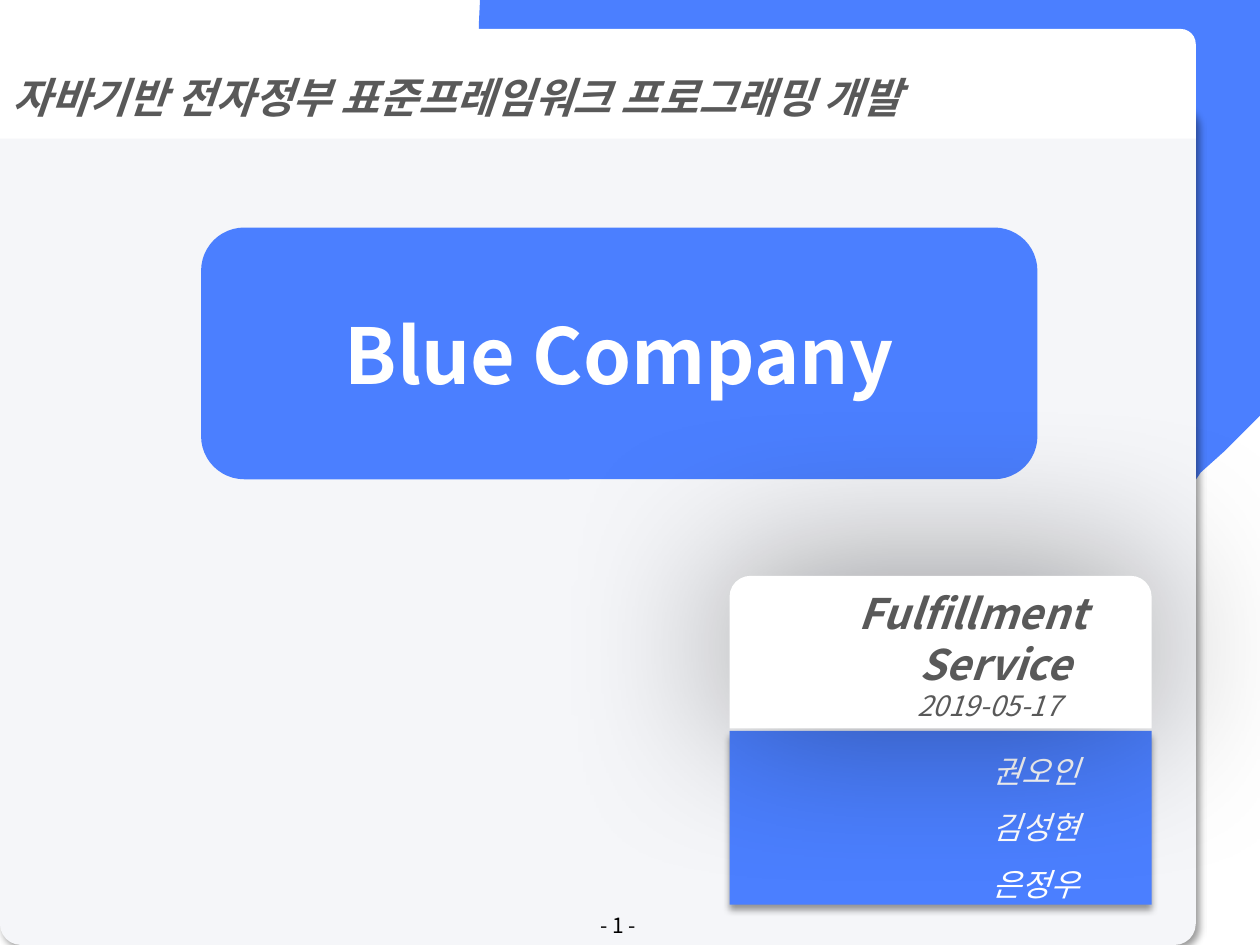
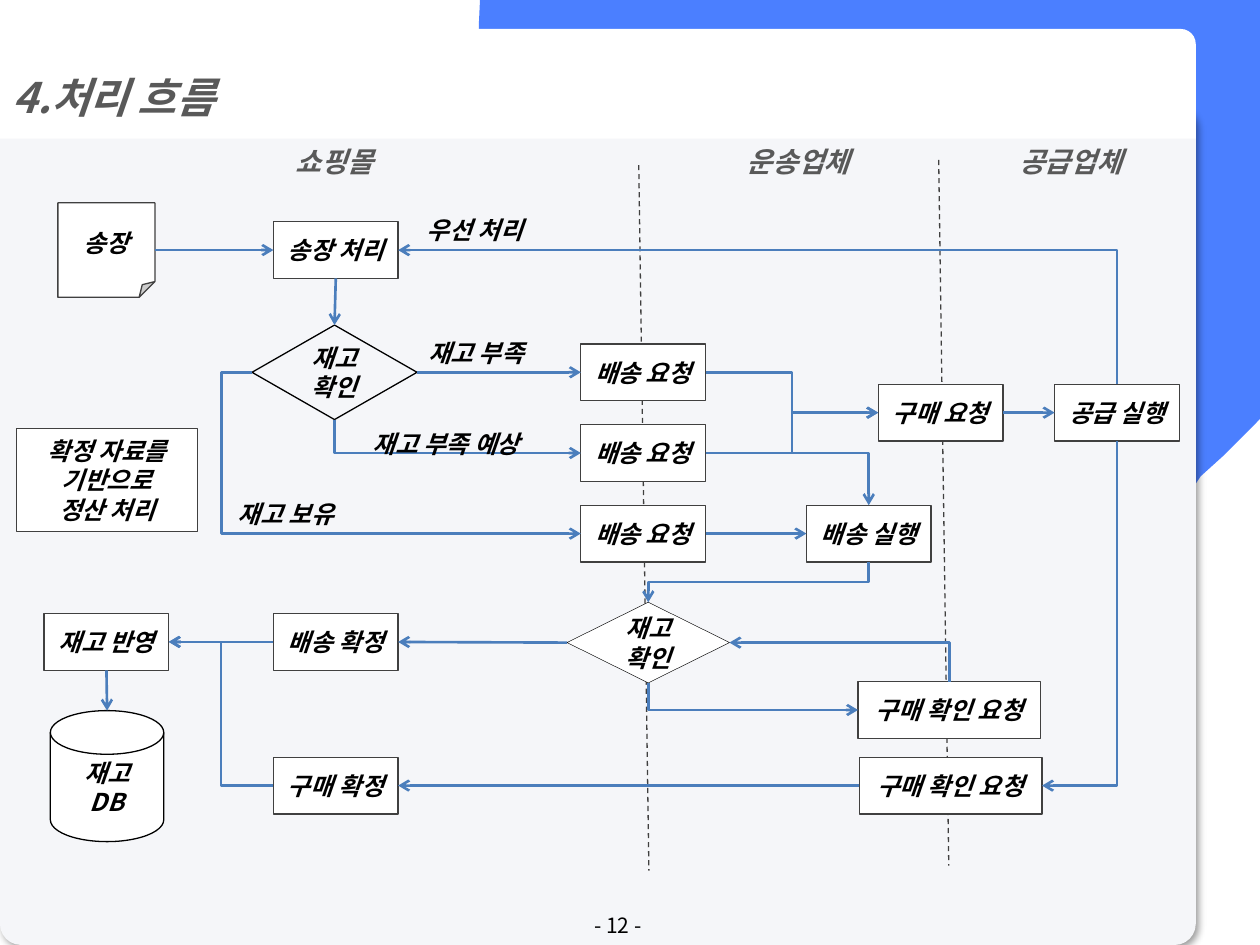
from dataclasses import dataclass
from typing import NamedTuple

from lxml import etree
from pptx import Presentation
from pptx.dml.color import RGBColor
from pptx.enum.dml import MSO_LINE
from pptx.enum.shapes import MSO_CONNECTOR, MSO_SHAPE
from pptx.enum.text import MSO_ANCHOR, MSO_AUTO_SIZE, PP_ALIGN
from pptx.oxml.ns import qn
from pptx.util import Emu, Pt

PX = 9144  # 100 px to the inch
FONT = "Noto Sans CJK KR"
C = {
    "blue": "4B7FFF", "panel": "F5F6F9", "white": "FFFFFF", "black": "000000",
    "heading": "595959", "edge": "404040", "arrow": "4B7EBC",
}
LEFT, CENTER = PP_ALIGN.LEFT, PP_ALIGN.CENTER
MIDDLE = MSO_ANCHOR.MIDDLE
RECT, ROUND = MSO_SHAPE.RECTANGLE, MSO_SHAPE.ROUNDED_RECTANGLE
ROUND_TOP = MSO_SHAPE.ROUND_2_SAME_RECTANGLE
DIAMOND, NOTE = MSO_SHAPE.DIAMOND, MSO_SHAPE.FOLDED_CORNER
DISK = MSO_SHAPE.FLOWCHART_MAGNETIC_DISK
STRAIGHT, ELBOW = MSO_CONNECTOR.STRAIGHT, MSO_CONNECTOR.ELBOW
TOP_SIDE, LEFT_SIDE, BOTTOM_SIDE, RIGHT_SIDE = range(4)

# Backdrop outline: pairs are line ends, sixes are cubic curves.
BACKDROP = [
    (1000, 0), (1000, 330), (972, 358), (953, 375), (949, 381),
    (944, 387, 939, 392, 934, 397), (643, 687),
    (563, 766, 438, 771, 353, 702), (337, 687), (322, 671),
    (253, 586, 258, 462, 337, 383), (488, 233), (454, 199),
    (404, 150, 380, 86, 380, 21), (381, 0),
]


class Box(NamedTuple):
    x: int
    y: int
    w: int
    h: int


class Shadow(NamedTuple):
    blur: int
    angle: int


@dataclass
class Para:
    text: str
    size: int = 14
    color: str = "black"
    bold: bool = True
    italic: bool = True
    align: PP_ALIGN = CENTER
    spacing: float = 1.0
    indent: int = 0


@dataclass
class Node:
    box: Box
    lines: tuple[str, ...]
    kind: MSO_SHAPE = RECT
    edge: str = "edge"
    width: float = 0.75
    inset: int = 4
    filled: bool = True


@dataclass
class Arrow:
    start: str
    start_side: int
    end: str
    end_side: int
    geometry: str = "line"
    bend: int = 50000


@dataclass
class Label:
    box: Box
    para: Para


def rgb(name: str) -> RGBColor:
    return RGBColor.from_string(C[name])


def emu(box: Box) -> list[Emu]:
    return [Emu(v * PX) for v in box]


def write(tf, paras: list[Para]) -> None:
    for i, para in enumerate(paras):
        p = tf.paragraphs[0] if i == 0 else tf.add_paragraph()
        p.text = para.text
        p.alignment, p.line_spacing = para.align, para.spacing
        pPr = p._p.get_or_add_pPr()
        pPr.set("marL", str(para.indent * PX))
        pPr.set("indent", "0")
        f = p.font
        f.name, f.size = FONT, Pt(para.size)
        f.bold, f.italic = para.bold, para.italic
        f.color.rgb = rgb(para.color)
        etree.SubElement(pPr.find(qn("a:defRPr")), qn("a:ea"), typeface=FONT)


def add_box(slide, kind, box: Box, fill: str = "", line: str = "", width: float = 0.75,
            shadow: Shadow | None = None, adj: float | None = None):
    sp = slide.shapes.add_shape(kind, *emu(box))
    if adj is not None:
        sp.adjustments[0] = adj
    if fill:
        sp.fill.solid()
        sp.fill.fore_color.rgb = rgb(fill)
    else:
        sp.fill.background()
    if line:
        sp.line.color.rgb, sp.line.width = rgb(line), Pt(width)
    else:
        sp.line.fill.background()
    sp.shadow.inherit = False
    if shadow:
        effects = sp.element.spPr.find(qn("a:effectLst"))
        outer = etree.SubElement(
            effects, qn("a:outerShdw"), blurRad=str(Pt(shadow.blur)), dist=str(Pt(3)),
            dir=str(shadow.angle * 60000), rotWithShape="0")
        color = etree.SubElement(outer, qn("a:srgbClr"), val=C["black"])
        etree.SubElement(color, qn("a:alpha"), val="40000")
    sp.text_frame.word_wrap = True
    sp.text_frame.vertical_anchor = MIDDLE
    return sp


def add_text(slide, box: Box, para: Para, wrap: bool = False) -> None:
    tf = slide.shapes.add_textbox(*emu(box)).text_frame
    tf.word_wrap = wrap
    if wrap:
        tf.vertical_anchor = MIDDLE
    else:
        tf.auto_size = MSO_AUTO_SIZE.SHAPE_TO_FIT_TEXT
    write(tf, [para])


def add_backdrop(slide, stretch: float) -> None:
    points = []
    for seg in BACKDROP:
        if len(seg) == 2:
            points.append(seg)
            continue
        ends = [points[-1], seg[:2], seg[2:4], seg[4:]]
        for t in (i / 12 for i in range(1, 13)):
            weights = ((1 - t) ** 3, 3 * t * (1 - t) ** 2, 3 * t * t * (1 - t), t ** 3)
            points.append(tuple(sum(w * e[k] for w, e in zip(weights, ends)) for k in (0, 1)))
    scaled = [(x * PX, y * stretch * PX) for x, y in points]
    fb = slide.shapes.build_freeform(*scaled[0], scale=1.0)
    fb.add_line_segments(scaled[1:], close=True)
    sp = fb.convert_to_shape()
    sp.fill.solid()
    sp.fill.fore_color.rgb = rgb("blue")
    sp.line.fill.background()
    sp.shadow.inherit = False


def add_frame(prs, title: str, number: int, panel_top: int, stretch: float = 1.0):
    """Add a slide with backdrop, panel, title band and page number."""
    slide = prs.slides.add_slide(prs.slide_layouts[5])
    add_backdrop(slide, stretch)
    add_box(slide, ROUND, Box(0, panel_top, 949, 750 - panel_top), "panel",
            shadow=Shadow(4, 45), adj=0.025)
    band = Box(0, 23, 949, 87)
    add_box(slide, ROUND_TOP, band, "white", adj=0.137)
    heading = slide.shapes.title
    heading.left, heading.top, heading.width, heading.height = emu(band)
    tf = heading.text_frame
    tf.auto_size, tf.word_wrap, tf.vertical_anchor = MSO_AUTO_SIZE.NONE, True, MIDDLE
    write(tf, [Para(title, 24, "heading", align=LEFT, spacing=1.5)])
    heading.element.getparent().append(heading.element)
    add_text(slide, Box(374, 721, 233, 26),
             Para(f"- {number} -", 12, bold=False, italic=False), wrap=True)
    return slide


def style_line(c, color: str, width: float, dashed: bool = False, arrow: bool = False) -> None:
    c.line.color.rgb, c.line.width = rgb(color), Pt(width)
    if dashed:
        c.line.dash_style = MSO_LINE.DASH
    spPr = c.element.spPr
    if arrow:
        etree.SubElement(spPr.find(qn("a:ln")), qn("a:tailEnd"), type="arrow")
    etree.SubElement(spPr, qn("a:effectLst"))


def side_point(sp, side: int) -> tuple[int, int]:
    dx, dy = ((1, 0), (0, 1), (1, 2), (2, 1))[side]
    return sp.left + sp.width * dx // 2, sp.top + sp.height * dy // 2


def add_arrow(slide, arrow: Arrow, shapes: dict) -> None:
    a, b = shapes[arrow.start], shapes[arrow.end]
    (x1, y1), (x2, y2) = side_point(a, arrow.start_side), side_point(b, arrow.end_side)
    straight = arrow.geometry == "line"
    c = slide.shapes.add_connector(STRAIGHT if straight else ELBOW, x1, y1, x2, y2)
    c.begin_connect(a, arrow.start_side)
    if NODES[arrow.end].kind != DISK:
        c.end_connect(b, arrow.end_side)
    if not straight:
        bend_connector(c, arrow, x1, y1, x2, y2)
    style_line(c, "arrow", 1.5, arrow=True)


def bend_connector(c, arrow: Arrow, x1: int, y1: int, x2: int, y2: int) -> None:
    """Set the elbow preset; one that leaves vertically is turned by 90 degrees."""
    dx, dy = x2 - x1, y2 - y1
    upright = arrow.start_side in (TOP_SIDE, BOTTOM_SIDE)
    c.width, c.height = (abs(dy), abs(dx)) if upright else (abs(dx), abs(dy))
    c.left, c.top = (x1 + x2 - c.width) // 2, (y1 + y2 - c.height) // 2
    flip_h, flip_v = (dy < 0, dx > 0) if upright else (dx < 0, dy < 0)
    spPr = c.element.spPr
    xfrm = spPr.find(qn("a:xfrm"))
    xfrm.set("rot", "5400000" if upright else "0")
    xfrm.set("flipH", str(int(flip_h)))
    xfrm.set("flipV", str(int(flip_v)))
    geom = spPr.find(qn("a:prstGeom"))
    geom.set("prst", arrow.geometry)
    if arrow.geometry == "bentConnector3":
        etree.SubElement(geom.find(qn("a:avLst")), qn("a:gd"),
                         name="adj1", fmla=f"val {arrow.bend}")


def step(x: int, y: int, text: str, w: int = 99) -> Node:
    return Node(Box(x, y, w, 45), (text,))


NODES = {
    "invoice": Node(Box(46, 161, 77, 75), ("송장",), NOTE, inset=10),
    "process": step(217, 176, "송장 처리"),
    "check": Node(Box(200, 258, 131, 75), ("재고 확인",), DIAMOND, "black", filled=False),
    **{f"ship{i}": step(461, 273 + 64 * i, "배송 요청") for i in range(3)},
    "order": step(697, 305, "구매 요청"),
    "supply": step(837, 305, "공급 실행"),
    "deliver": step(640, 401, "배송 실행"),
    "recheck": Node(Box(450, 478, 129, 64), ("재고확인",), DIAMOND, "black", 0.25, 10),
    "confirm_ask": step(681, 541, "구매 확인 요청", 145),
    "supply_ask": step(682, 601, "구매 확인 요청", 145),
    "ship_done": step(217, 487, "배송 확정"),
    "order_done": step(217, 601, "구매 확정"),
    "update": step(35, 487, "재고 반영"),
    "stock": Node(Box(40, 564, 90, 104), ("재고", "DB"), DISK, "black", inset=10),
    "settle": Node(Box(13, 340, 144, 82), ("확정 자료를", "기반으로", "정산 처리")),
}
L_BEND, Z_BEND = "bentConnector2", "bentConnector3"
ARROWS = [
    Arrow("invoice", RIGHT_SIDE, "process", LEFT_SIDE),
    Arrow("process", BOTTOM_SIDE, "check", TOP_SIDE),
    Arrow("check", RIGHT_SIDE, "ship0", LEFT_SIDE),
    Arrow("check", BOTTOM_SIDE, "ship1", LEFT_SIDE, L_BEND),
    Arrow("check", LEFT_SIDE, "ship2", LEFT_SIDE, Z_BEND, -9300),
    Arrow("ship0", RIGHT_SIDE, "order", LEFT_SIDE, Z_BEND),
    Arrow("ship1", RIGHT_SIDE, "order", LEFT_SIDE, Z_BEND),
    Arrow("ship1", RIGHT_SIDE, "deliver", TOP_SIDE, L_BEND),
    Arrow("ship2", RIGHT_SIDE, "deliver", LEFT_SIDE),
    Arrow("order", RIGHT_SIDE, "supply", LEFT_SIDE),
    Arrow("supply", TOP_SIDE, "process", RIGHT_SIDE, L_BEND),
    Arrow("supply", BOTTOM_SIDE, "supply_ask", RIGHT_SIDE, L_BEND),
    Arrow("deliver", BOTTOM_SIDE, "recheck", TOP_SIDE, Z_BEND),
    Arrow("recheck", BOTTOM_SIDE, "confirm_ask", LEFT_SIDE, L_BEND),
    Arrow("confirm_ask", TOP_SIDE, "recheck", RIGHT_SIDE, L_BEND),
    Arrow("recheck", LEFT_SIDE, "ship_done", RIGHT_SIDE),
    Arrow("supply_ask", LEFT_SIDE, "order_done", RIGHT_SIDE),
    Arrow("ship_done", LEFT_SIDE, "update", RIGHT_SIDE),
    Arrow("order_done", LEFT_SIDE, "update", RIGHT_SIDE, Z_BEND),
    Arrow("update", BOTTOM_SIDE, "stock", TOP_SIDE),
]
LABELS = [
    *(Label(Box(x, 110, w, 37), Para(text, 16, "heading", align=LEFT))
      for x, w, text in ((225, 88, "쇼핑몰"), (583, 110, "운송업체"), (799, 110, "공급업체"))),
    *(Label(Box(x, y, 106, 34), Para(text, align=LEFT))
      for x, y, text in ((329, 166, "우선 처리"), (330, 263, "재고 부족"), (179, 391, "재고 보유"))),
    Label(Box(278, 324, 152, 45), Para("재고 부족 예상", spacing=1.5)),
]


def build_cover(prs) -> None:
    slide = add_frame(prs, "자바기반 전자정부 표준프레임워크 프로그래밍 개발", 1, 83)
    banner = add_box(slide, ROUND, Box(161, 182, 661, 197), "blue", "blue", 2)
    write(banner.text_frame, [Para("Blue Company", 44, "white", italic=False)])
    members = add_box(slide, RECT, Box(579, 580, 335, 138), "blue", shadow=Shadow(4, 90))
    write(members.text_frame, [Para(name, 18, "white", bold=False, spacing=1.5, indent=151)
                               for name in ("권오인", "김성현", "은정우")])
    card = add_box(slide, ROUND_TOP, Box(579, 457, 335, 121), "white",
                   shadow=Shadow(99, 270), adj=0.137)
    write(card.text_frame, [Para("Fulfillment", 24, "heading", indent=51),
                            Para("Service", 24, "heading", indent=87),
                            Para("2019-05-17", 16, "heading", bold=False, indent=77)])


def build_flow(prs) -> None:
    slide = add_frame(prs, "4.처리 흐름", 12, 84, 1.008)
    for x, y in ((507, 131), (745, 127)):
        ends = (Emu(v * PX) for v in (x, y, x + 8, y + 560))
        style_line(slide.shapes.add_connector(STRAIGHT, *ends), "edge", 0.75, dashed=True)
    shapes = {}
    for name, node in NODES.items():
        sp = add_box(slide, node.kind, node.box, "white" if node.filled else "",
                     node.edge, node.width)
        tf = sp.text_frame
        if node.inset == 4:
            tf.margin_left = tf.margin_right = tf.margin_top = tf.margin_bottom = Emu(4 * PX)
        write(tf, [Para(text) for text in node.lines])
        shapes[name] = sp
    for arrow in ARROWS:
        add_arrow(slide, arrow, shapes)
    for label in LABELS:
        add_text(slide, label.box, label.para)


def main() -> None:
    prs = Presentation()
    prs.slide_width, prs.slide_height = Emu(1000 * PX), Emu(750 * PX)
    build_cover(prs)
    build_flow(prs)
    prs.save("out.pptx")


if __name__ == "__main__":
    main()
